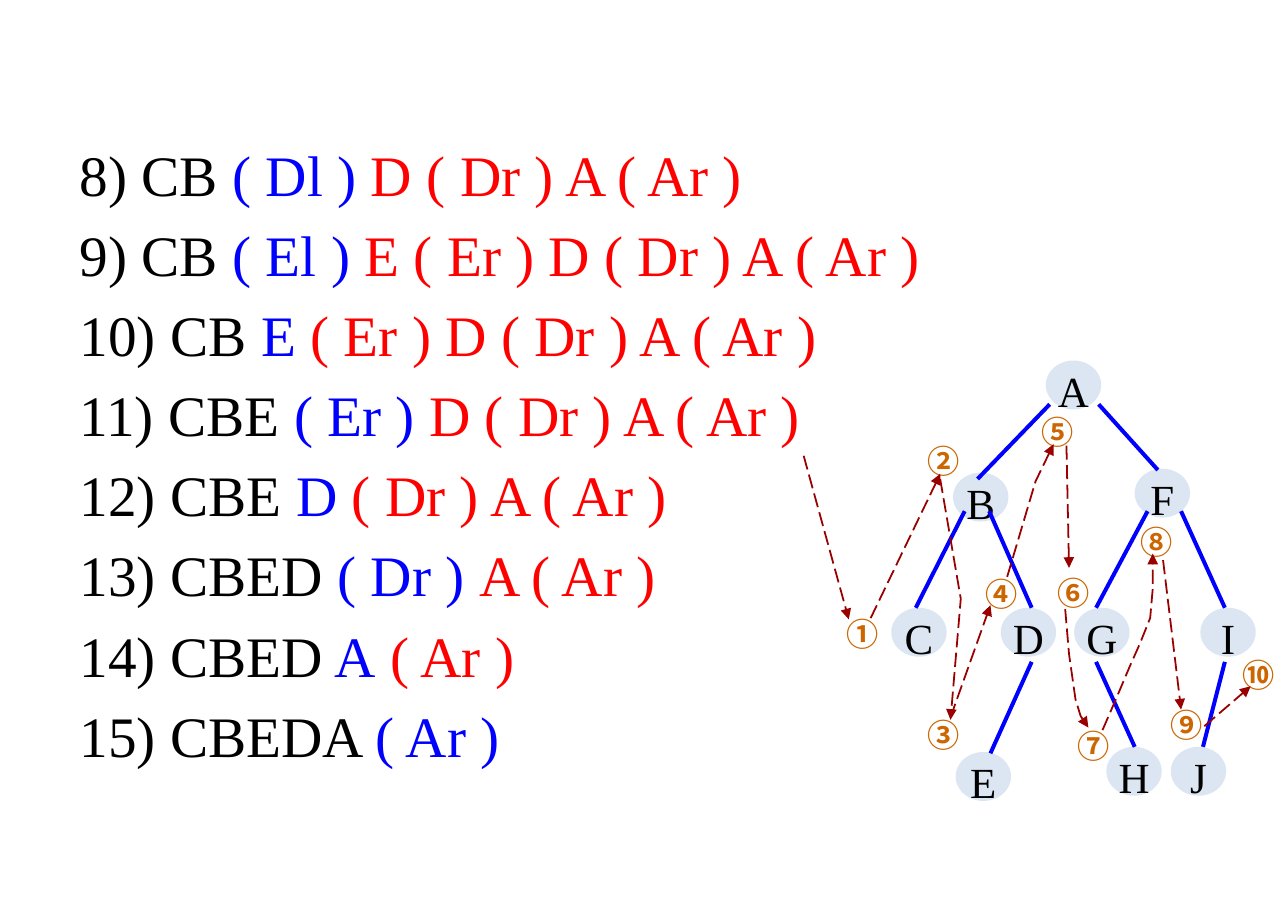
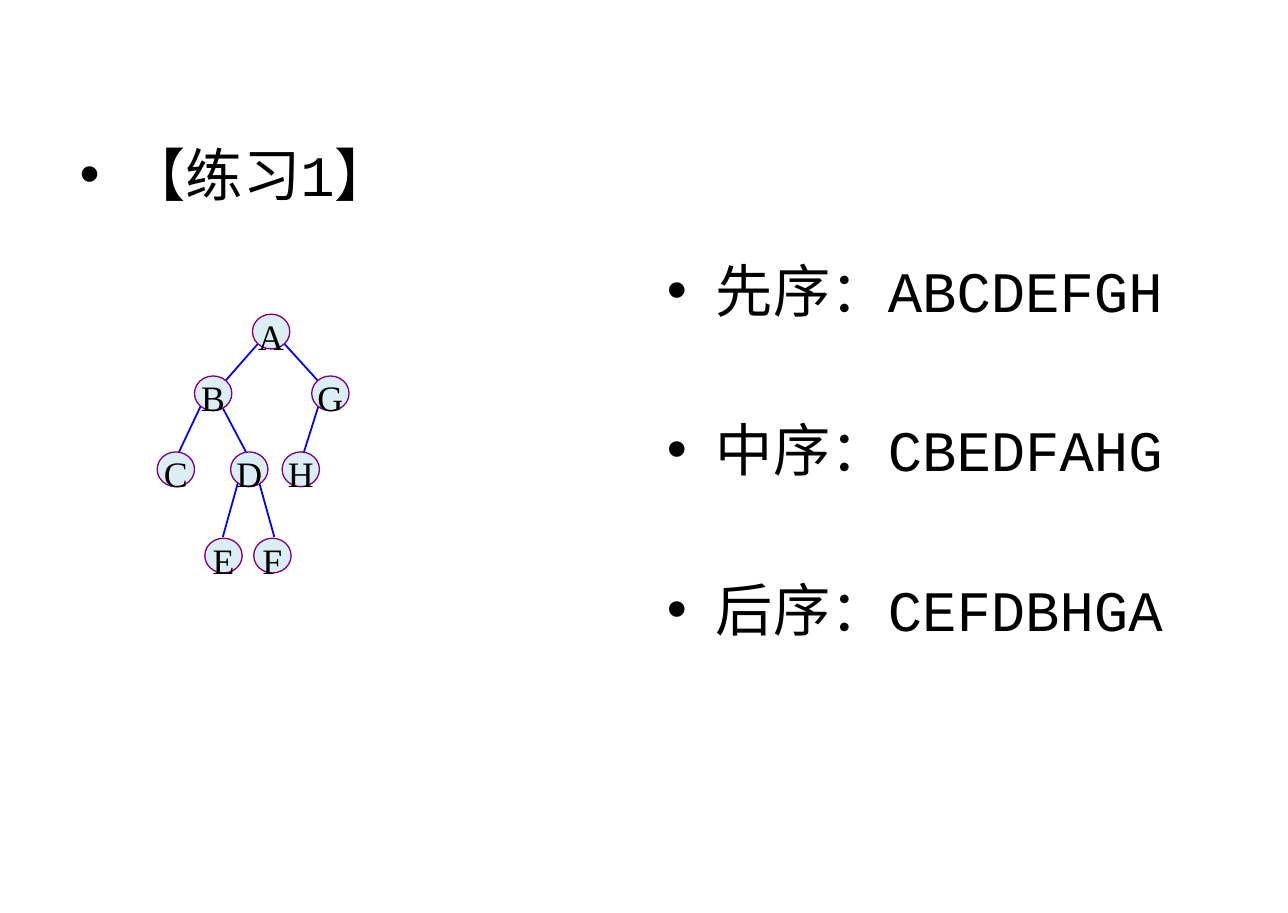
from lxml import etree
from pptx import Presentation
from pptx.dml.color import RGBColor
from pptx.enum.dml import MSO_LINE
from pptx.enum.shapes import MSO_CONNECTOR, MSO_SHAPE
from pptx.enum.text import MSO_ANCHOR, PP_ALIGN
from pptx.oxml.ns import qn
from pptx.util import Inches, Pt

BLACK = RGBColor(0x00, 0x00, 0x00)
BLUE = RGBColor(0x00, 0x00, 0xFF)
RED = RGBColor(0xFF, 0x00, 0x00)
DARK_RED = RGBColor(0x99, 0x00, 0x00)
ORANGE = RGBColor(0xCC, 0x66, 0x00)
PURPLE = RGBColor(0x80, 0x00, 0x80)
PALE_BLUE = RGBColor(0xDC, 0xE6, 0xF2)
PALE_AQUA = RGBColor(0xDB, 0xEE, 0xF4)

SERIF = "Times New Roman"
MONO = "Courier New"
CJK = "Noto Sans CJK SC"

ELLIPSE = MSO_SHAPE.OVAL
STRAIGHT = MSO_CONNECTOR.STRAIGHT
LONG_DASH = MSO_LINE.LONG_DASH
MIDDLE = MSO_ANCHOR.MIDDLE
CENTER = PP_ALIGN.CENTER

STEPS = [
    ("8) CB ", "( Dl ) ", "D ( Dr ) A ( Ar )"),
    ("9) CB ", "( El )", " E ( Er ) D ( Dr ) A ( Ar )"),
    ("10) CB ", "E", " ( Er ) D ( Dr ) A ( Ar )"),
    ("11) CBE ", "( Er )", " D ( Dr ) A ( Ar )"),
    ("12) CBE ", "D", " ( Dr ) A ( Ar )"),
    ("13) CBED ", "( Dr ) ", "A ( Ar )"),
    ("14) CBED", " A", " ( Ar )"),
    ("15) CBEDA ", "( Ar )"),
]
STEP_COLORS = (BLACK, BLUE, RED)

WALK_NODES = {
    "A": (1.88, 0), "B": (1.16, 0.87), "F": (2.57, 0.84),
    "C": (0.68, 1.92), "D": (1.53, 1.92), "G": (2.1, 1.92), "I": (3.08, 1.92),
    "E": (1.18, 3.04), "H": (2.35, 3), "J": (2.85, 3),
}
WALK_EDGES = [
    [(1.91, 0.34), (1.35, 0.92)], [(2.29, 0.34), (2.75, 0.85)],
    [(1.25, 1.17), (0.87, 1.92)], [(1.44, 1.17), (1.77, 1.92)],
    [(2.67, 1.17), (2.27, 1.92)], [(2.93, 1.17), (3.27, 1.92)],
    [(1.77, 2.34), (1.45, 3.05)], [(2.27, 2.34), (2.57, 3)],
    [(3.27, 2.34), (3.1, 3)],
]
VISITS = {
    "①": (0.23, 1.92), "②": (0.86, 0.58), "③": (0.86, 2.71), "④": (1.31, 1.61),
    "⑤": (1.75, 0.35), "⑥": (1.87, 1.6), "⑦": (2.03, 2.79), "⑧": (2.52, 1.21),
    "⑨": (2.75, 2.63), "⑩": (3.31, 2.24),
}
TRAILS = [
    [(0, 0.74), (0.35, 2.01)],
    [(0.52, 2), (1.06, 0.88)],
    [(1.06, 0.92), (1.22, 1.85), (1.14, 2.79)],
    [(1.14, 2.77), (1.45, 1.9)],
    [(1.58, 1.68), (1.8, 0.94), (1.94, 0.65)],
    [(2.04, 0.66), (2.06, 1.61)],
    [(2.03, 1.93), (2.06, 2.28), (2.11, 2.63), (2.15, 2.76), (2.21, 2.85)],
    [(2.32, 2.87), (2.42, 2.64), (2.53, 2.38), (2.61, 2.2), (2.69, 2),
     (2.71, 1.77), (2.71, 1.5)],
    [(2.79, 1.55), (2.93, 2.71)],
    [(3.11, 2.84), (3.47, 2.53)],
]

EXERCISE_NODES = {
    "A": (0.74, 0), "B": (0.29, 0.48), "G": (1.2, 0.48),
    "C": (0, 1.07), "D": (0.57, 1.07), "H": (0.97, 1.07),
    "E": (0.37, 1.74), "F": (0.75, 1.74),
}
EXERCISE_EDGES = [
    [(0.8, 0.21), (0.52, 0.53)], [(0.97, 0.21), (1.26, 0.53)],
    [(0.34, 0.71), (0.17, 1.07)], [(0.5, 0.71), (0.69, 1.07)],
    [(1.26, 0.69), (1.14, 1.07)],
    [(0.63, 1.3), (0.51, 1.73)], [(0.79, 1.3), (0.91, 1.73)],
]
ORDERS = ["先序：ABCDEFGH", "中序：CBEDFAHG", "后序：CEFDBHGA"]


def place(origin, point):
    return [Inches(start + offset) for start, offset in zip(origin, point)]


def add_text_frame(slide, box):
    frame = slide.shapes.add_textbox(*map(Inches, box)).text_frame
    frame.word_wrap = True
    return frame


def add_lines(slide, box, lines, colors, font, gap, bullet=False):
    frame = add_text_frame(slide, box)
    for index, parts in enumerate(lines):
        line = frame.add_paragraph() if index else frame.paragraphs[0]
        line.font.name = font
        line.font.size = Pt(32)
        line.space_before = Pt(gap)
        for part, color in zip(parts, colors):
            run = line.add_run()
            run.text = part
            run.font.color.rgb = color
            run._r.rPr.set("kern", "0")
        properties = line._p.get_or_add_pPr()
        properties.set("marL", str(Inches(0.38)))
        properties.set("indent", str(-Inches(0.38)))
        if bullet:
            typeface = etree.Element(qn("a:buFont"), typeface="Arial")
            properties.find(qn("a:spcBef")).addnext(typeface)
            typeface.addnext(etree.Element(qn("a:buChar"), char="•"))


def add_nodes(group, origin, nodes, size, fill, text_size, outline=None):
    for letter, point in nodes.items():
        node = group.shapes.add_shape(ELLIPSE, *place(origin, point), *map(Inches, size))
        node.shadow.inherit = False
        node.fill.solid()
        node.fill.fore_color.rgb = fill
        if outline is None:
            node.line.fill.background()
        else:
            node.line.color.rgb = outline
            node.line.width = Pt(0.75)
        frame = node.text_frame
        frame.word_wrap = False
        frame.vertical_anchor = MIDDLE
        label = frame.paragraphs[0]
        label.text = letter
        label.alignment = CENTER
        label.line_spacing = 1.2
        label.space_before = Pt(text_size * 0.2)
        label.font.name = SERIF
        label.font.size = Pt(text_size)
        label.font.color.rgb = BLACK


def add_straight(shapes, origin, start, end, color, width):
    line = shapes.add_connector(STRAIGHT, *place(origin, start), *place(origin, end))
    line.line.color.rgb = color
    line.line.width = Pt(width)
    etree.SubElement(line._element.spPr, qn("a:effectLst"))
    return line


def add_edges(group, origin, edges, width):
    for start, end in edges:
        add_straight(group.shapes, origin, start, end, BLUE, width)


def add_trail(slide, origin, points):
    if len(points) == 2:
        trail = add_straight(slide.shapes, origin, *points, DARK_RED, 1)
    else:
        start, *bends = [place(origin, point) for point in points]
        builder = slide.shapes.build_freeform(*start)
        builder.add_line_segments(bends, close=False)
        trail = builder.convert_to_shape()
        trail.shadow.inherit = False
        trail.fill.background()
        trail.line.color.rgb = DARK_RED
        trail.line.width = Pt(1)
    trail.line.dash_style = LONG_DASH
    outline = trail._element.spPr.find(qn("a:ln"))
    etree.SubElement(outline, qn("a:tailEnd"), type="triangle")


def add_visit(slide, origin, number, point):
    left, top = origin
    frame = add_text_frame(slide, (left + point[0], top + point[1], 0.49, 0.4))
    label = frame.paragraphs[0]
    run = label.add_run()
    run.text = number
    run.font.name = CJK
    run.font.size = Pt(18)
    run.font.bold = True
    run.font.color.rgb = ORANGE
    latin = run._r.rPr.find(qn("a:latin"))
    latin.addnext(etree.Element(qn("a:ea"), typeface=CJK))


def draw_walk(slide, origin):
    tree = slide.shapes.add_group_shape()
    add_nodes(tree, origin, WALK_NODES, (0.43, 0.38), PALE_BLUE, 24)
    add_edges(tree, origin, WALK_EDGES, 2.25)
    for number, point in VISITS.items():
        add_visit(slide, origin, number, point)
    for points in TRAILS:
        add_trail(slide, origin, points)


def draw_exercise_tree(slide, origin):
    tree = slide.shapes.add_group_shape()
    add_edges(tree, origin, EXERCISE_EDGES, 1)
    add_nodes(tree, origin, EXERCISE_NODES, (0.29, 0.27), PALE_AQUA, 20, PURPLE)


def build_walk_slide(slide):
    add_lines(slide, (0.52, 1.03, 9, 5.43), STEPS, STEP_COLORS, SERIF, 6.4)
    draw_walk(slide, (6.24, 2.8))


def build_exercise_slide(slide):
    add_lines(slide, (0.52, 1.03, 2.9, 4.68), [("【练习1】",)], (BLACK,),
              MONO, 6.4, bullet=True)
    draw_exercise_tree(slide, (1.22, 2.44))
    add_lines(slide, (5.08, 1.93, 4.57, 4.06), [(order,) for order in ORDERS], (BLACK,),
              MONO, 51, bullet=True)


def main():
    deck = Presentation()
    deck.slide_width = Inches(10)
    deck.slide_height = Inches(7.09)
    blank = deck.slide_layouts[6]
    build_walk_slide(deck.slides.add_slide(blank))
    build_exercise_slide(deck.slides.add_slide(blank))
    deck.save("out.pptx")


if __name__ == "__main__":
    main()
